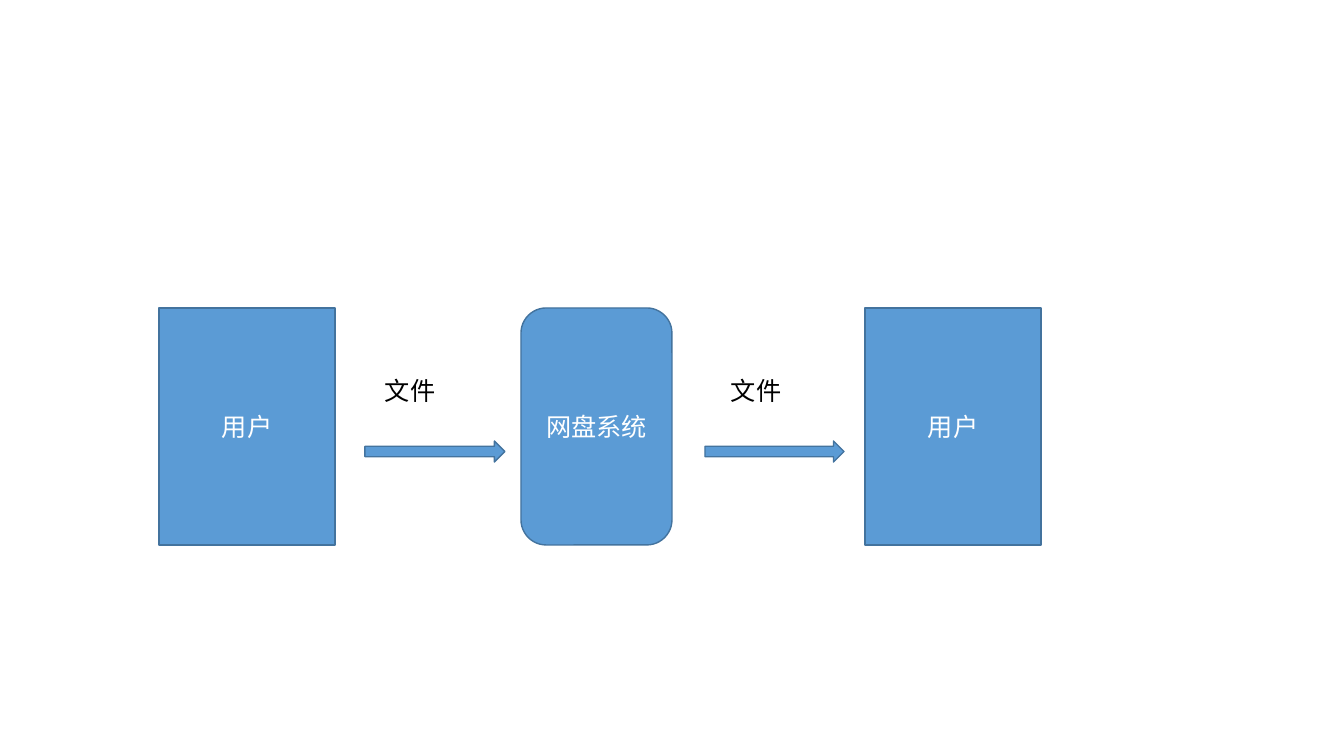
from lxml.etree import SubElement
from pptx import Presentation
from pptx.dml.color import RGBColor
from pptx.enum.shapes import MSO_SHAPE as Shape
from pptx.enum.text import MSO_ANCHOR as Anchor, MSO_AUTO_SIZE as AutoSize, PP_ALIGN as Align
from pptx.oxml.ns import qn
from pptx.util import Emu, Pt

# Content: text, left and width in px
BOXES = [
    ("用户", Shape.RECTANGLE, 159, 176),
    ("网盘系统", Shape.ROUNDED_RECTANGLE, 521, 151),
    ("用户", Shape.RECTANGLE, 865, 176),
]
ARROWS = [(365, 140), (705, 139)]
LABELS = [("文件", 375, 98), ("文件", 721, 87)]

# Rows: top and height in px
BOX_ROW = (308, 237)
ARROW_ROW = (441, 21)
LABEL_ROW = (370, 40)

FONT = "Noto Sans CJK SC"
BLUE, EDGE, WHITE, BLACK = "5B9BD5", "43739E", "FFFFFF", "000000"


def px(length):
    return Emu(round(length * 914400 / 100.8))


def color(value):
    return RGBColor.from_string(value)


def place(left, width, row):
    top, height = row
    return px(left), px(top), px(width), px(height)


def write(frame, text, text_color, align):
    frame.text = text
    para = frame.paragraphs[0]
    para.alignment = align
    font = para.runs[0].font
    font.size = Pt(18)
    font.name = FONT
    font.color.rgb = color(text_color)
    # East Asian characters take their own typeface
    SubElement(para.runs[0]._r.get_or_add_rPr(), qn("a:ea"), typeface=FONT)


def add_blue_shape(slide, kind, left, width, row):
    shape = slide.shapes.add_shape(kind, *place(left, width, row))
    shape.shadow.inherit = False
    shape.fill.solid()
    shape.fill.fore_color.rgb = color(BLUE)
    shape.line.color.rgb = color(EDGE)
    shape.line.width = Pt(1)
    return shape


def main():
    deck = Presentation()
    deck.slide_width, deck.slide_height = px(1344), px(756)
    slide = deck.slides.add_slide(deck.slide_layouts[6])

    # Users and the system between them
    for text, kind, left, width in BOXES:
        box = add_blue_shape(slide, kind, left, width, BOX_ROW)
        box.text_frame.vertical_anchor = Anchor.MIDDLE
        write(box.text_frame, text, WHITE, Align.CENTER)

    # File flow arrows
    for left, width in ARROWS:
        add_blue_shape(slide, Shape.RIGHT_ARROW, left, width, ARROW_ROW)

    # Labels above the arrows
    for text, left, width in LABELS:
        frame = slide.shapes.add_textbox(*place(left, width, LABEL_ROW)).text_frame
        frame.word_wrap = True
        frame.auto_size = AutoSize.SHAPE_TO_FIT_TEXT
        write(frame, text, BLACK, Align.LEFT)

    deck.save("out.pptx")


if __name__ == "__main__":
    main()
